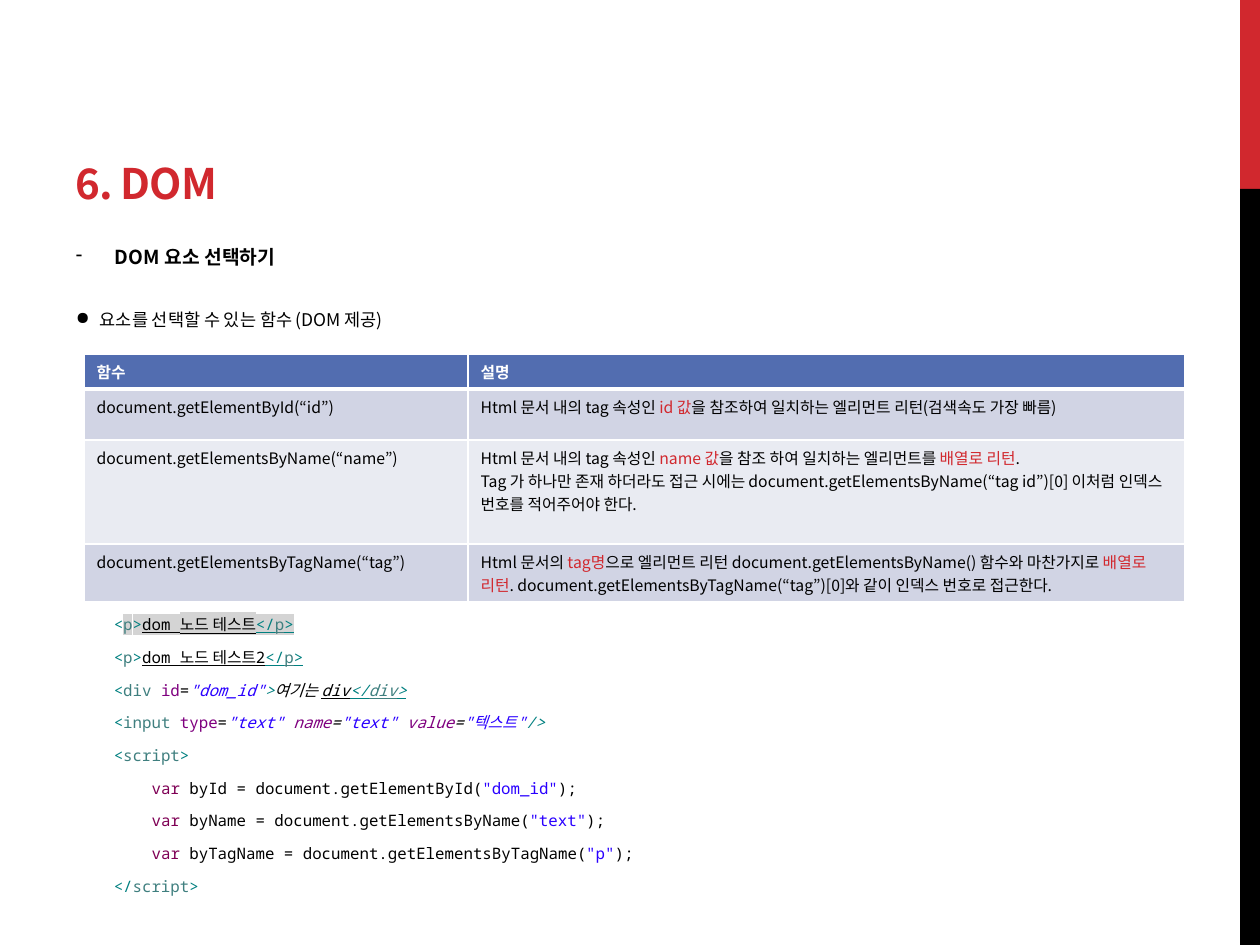
"""Build the DOM element selection slide with its function table and code sample."""
from typing import NamedTuple

from lxml.etree import SubElement
from pptx import Presentation
from pptx.dml.color import RGBColor as RGB
from pptx.enum.shapes import MSO_SHAPE as SHAPE
from pptx.enum.text import MSO_ANCHOR as ANCHOR
from pptx.oxml import parse_xml
from pptx.oxml.ns import nsdecls, qn
from pptx.util import Emu, Pt

SANS, MONO = "Noto Sans CJK KR", "Noto Sans Mono"
COLORS = {
    "red": "D1282E", "black": "000000", "white": "FFFFFF",
    "header": "526DB0", "band": "D1D4E4", "light": "E9EBF2", "mark": "D4D4D4",
    "teal": "008080", "tag": "3F7F7F", "attr": "7F007F",
    "value": "2A00FF", "keyword": "7F0055",
}


class Run(NamedTuple):
    text: str
    color: str = "black"
    style: str = ""


class Box(NamedTuple):
    x: int
    y: int
    w: int
    h: int


class Bar(NamedTuple):
    box: Box
    color: str


class Row(NamedTuple):
    height: int
    fill: str
    cells: list


def px(n: int) -> Emu:
    return Emu(round(n * 914400 / 126))


def rgb(name: str) -> RGB:
    return RGB.from_string(COLORS[name])


def place(box: Box) -> tuple:
    return tuple(px(n) for n in box)


def add_runs(p, runs: list, size: int, font: str = SANS) -> None:
    for run in runs:
        r = p.add_run()
        r.text = run.text
        f = r.font
        f.size, f.name = Pt(size), font
        f.bold, f.italic, f.underline = (k in run.style for k in "biu")
        f.color.rgb = rgb(run.color)
        rPr = r._r.get_or_add_rPr()
        if "h" in run.style:
            rPr.find(qn("a:solidFill")).addnext(parse_xml(
                f'<a:highlight {nsdecls("a")}><a:srgbClr val="{COLORS["mark"]}"/></a:highlight>'))
        rPr.find(qn("a:latin")).addnext(
            parse_xml(f'<a:ea {nsdecls("a")} typeface="{SANS}"/>'))


def add_text(s, box: Box):
    tf = s.shapes.add_textbox(*place(box)).text_frame
    tf.word_wrap = True
    tf.margin_left = tf.margin_right = tf.margin_top = tf.margin_bottom = 0
    return tf


def add_bullet(p, char: str, indent: int) -> None:
    pPr = p._p.get_or_add_pPr()
    pPr.set("marL", str(px(indent)))
    pPr.set("indent", str(-px(indent)))
    SubElement(pPr, qn("a:buChar")).set("char", char)


def add_bar(s, bar: Bar) -> None:
    sp = s.shapes.add_shape(SHAPE.RECTANGLE, *place(bar.box))
    sp.shadow.inherit = False
    sp.fill.solid()
    sp.fill.fore_color.rgb = rgb(bar.color)
    sp.line.fill.background()


def add_borders(cell, widths: dict) -> None:
    tcPr = cell._tc.get_or_add_tcPr()
    for side, width in widths.items():
        tcPr.append(parse_xml(
            f'<a:ln{side} {nsdecls("a")} w="{Pt(width)}"><a:solidFill>'
            f'<a:srgbClr val="{COLORS["white"]}"/></a:solidFill></a:ln{side}>'))


def add_table(s, box: Box, widths: list, rows: list) -> None:
    table = s.shapes.add_table(len(rows), len(widths), *place(box)).table
    for col, width in zip(table.columns, widths):
        col.width = px(width)
    for i, row in enumerate(rows):
        table.rows[i].height = px(row.height)
        for j, paragraphs in enumerate(row.cells):
            cell = table.cell(i, j)
            add_borders(cell, {"L": 1, "R": 1, "T": 3 if i == 1 else 1, "B": 3 if i == 0 else 1})
            cell.fill.solid()
            cell.fill.fore_color.rgb = rgb(row.fill)
            tf = cell.text_frame
            for k, runs in enumerate(paragraphs):
                add_runs(tf.add_paragraph() if k else tf.paragraphs[0], runs, 9)


def tag(name: str, start: str = "<", end: str = ">", style: str = "") -> list:
    return [Run(start, "teal", style), Run(name, "tag", style), Run(end, "teal", style)]


def lookup(variable: str, method: str, value: str) -> list:
    return [Run("        var ", "keyword"), Run(f"{variable} = document.{method}("),
            Run(f'"{value}"', "value"), Run(");")]


BARS = [Bar(Box(1240, 0, 20, 189), "red"), Bar(Box(1240, 189, 20, 756), "black")]
ROWS = [
    Row(35, "header", [[[Run("함수", "white", "b")]], [[Run("설명", "white", "b")]]]),
    Row(51, "band", [
        [[Run("document.getElementById(“id”)")]],
        [[Run("Html 문서 내의 tag 속성인 "), Run("id 값", "red"),
          Run("을 참조하여 일치하는 엘리먼트 리턴(검색속도 가장 빠름)")]]]),
    Row(104, "light", [
        [[Run("document.getElementsByName(“name”)")]],
        [[Run("Html 문서 내의 tag 속성인 "), Run("name 값", "red"),
          Run("을 참조 하여 일치하는 엘리먼트를 "), Run("배열로 리턴", "red"), Run(".")],
         [Run("Tag 가 하나만 존재 하더라도 접근 시에는 document.getElementsByName(“tag id”)[0] "
              "이처럼 인덱스 번호를 적어주어야 한다.")]]]),
    Row(58, "band", [
        [[Run("document.getElementsByTagName(“tag”)")]],
        [[Run("Html 문서의 "), Run("tag명", "red"),
          Run("으로 엘리먼트 리턴 document.getElementsByName() 함수와 마찬가지로 "),
          Run("배열로 리턴", "red"),
          Run(". document.getElementsByTagName(“tag”)[0]와 같이 인덱스 번호로 접근한다.")]]]),
]
CODE = [
    [Run("    <", "teal"), Run("p", "tag", "h"), Run(">", "teal", "h"),
     Run("dom 노드 테스트", "black", "uh"), *tag("p", "</", style="uh")],
    [*tag("p", "    <"), Run("dom 노드 테스트2", "black", "u"), *tag("p", "</", style="u")],
    [Run("    <", "teal"), Run("div ", "tag"), Run("id", "attr"), Run("="),
     Run('"dom_id"', "value", "i"), Run(">", "teal", "i"), Run("여기는 ", "black", "i"),
     Run("div", "black", "iu"), *tag("div", "</", style="iu")],
    [Run("    <", "teal"), Run("input ", "tag"), Run("type", "attr"), Run("="),
     Run('"text" ', "value", "i"), Run("name", "attr", "i"), Run("=", "black", "i"),
     Run('"text" ', "value", "i"), Run("value", "attr", "i"), Run("=", "black", "i"),
     Run('"텍스트"', "value", "i"), Run("/>", "teal", "i")],
    tag("script", "    <"),
    lookup("byId", "getElementById", "dom_id"),
    lookup("byName", "getElementsByName", "text"),
    lookup("byTagName", "getElementsByTagName", "p"),
    tag("script", "    </"),
]


def main() -> None:
    prs = Presentation()
    prs.slide_width, prs.slide_height = px(1260), px(945)
    s = prs.slides.add_slide(prs.slide_layouts[6])
    for bar in BARS:
        add_bar(s, bar)

    tf = add_text(s, Box(76, 21, 1028, 187))
    tf.vertical_anchor = ANCHOR.BOTTOM
    p = tf.paragraphs[0]
    add_runs(p, [Run("6. DOM", "red", "b")], 24)
    p.runs[0]._r.get_or_add_rPr().set("spc", "-60")

    tf = add_text(s, Box(76, 245, 1136, 95))
    p = tf.paragraphs[0]
    add_bullet(p, "-", 39)
    add_runs(p, [Run("DOM 요소 선택하기", "black", "b")], 11)
    p = tf.add_paragraph()
    add_bullet(p, "●", 24)
    p.space_before = Pt(23.4)
    add_runs(p, [Run("요소를 선택할 수 있는 함수 (DOM 제공)")], 10)

    add_table(s, Box(84, 354, 1101, 248), [384, 717], ROWS)

    tf = add_text(s, Box(76, 601, 1136, 295))
    for i, runs in enumerate(CODE):
        p = tf.add_paragraph() if i else tf.paragraphs[0]
        p.line_spacing = Pt(18.7)
        add_runs(p, runs, 9, MONO)
    prs.save("out.pptx")


if __name__ == "__main__":
    main()
